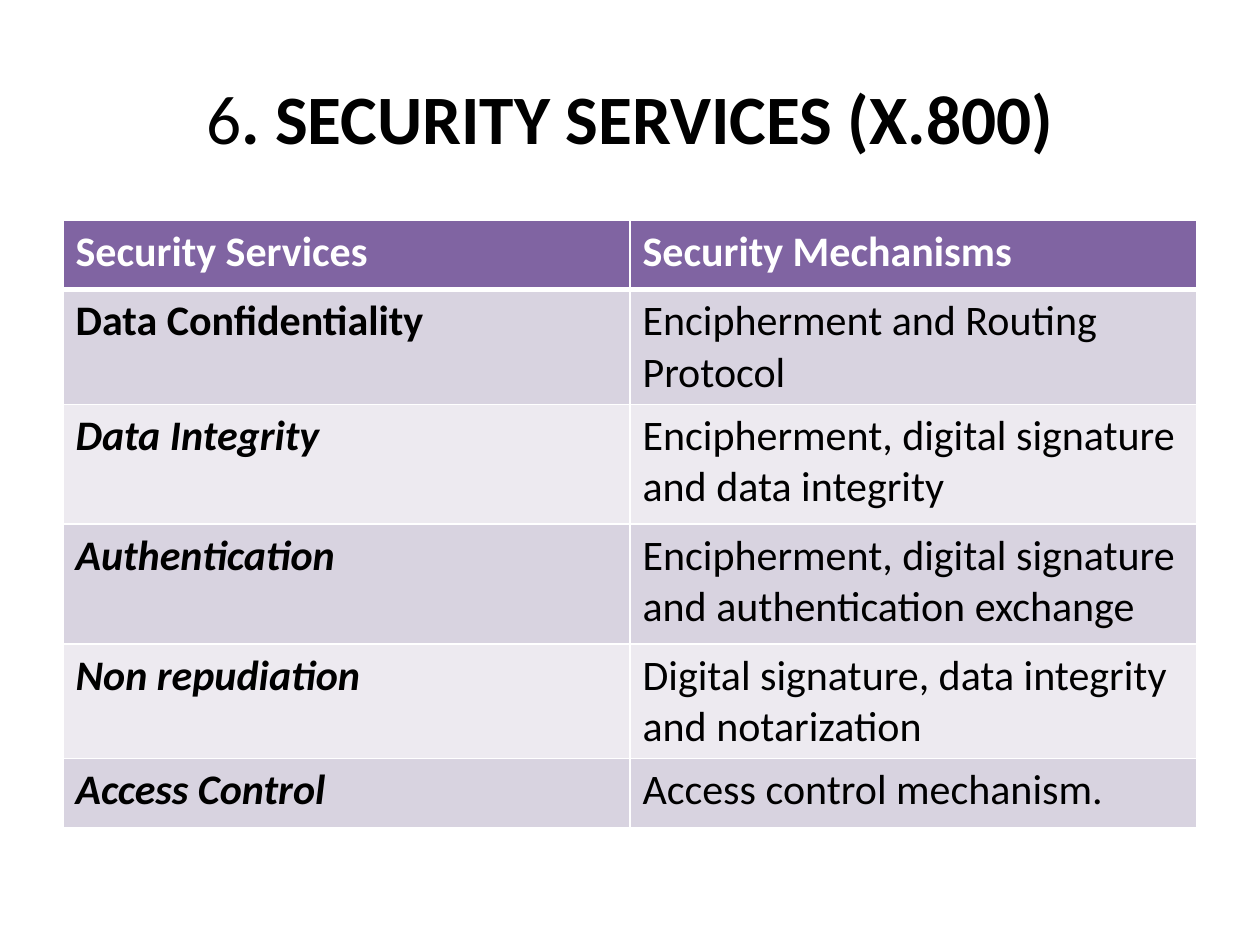
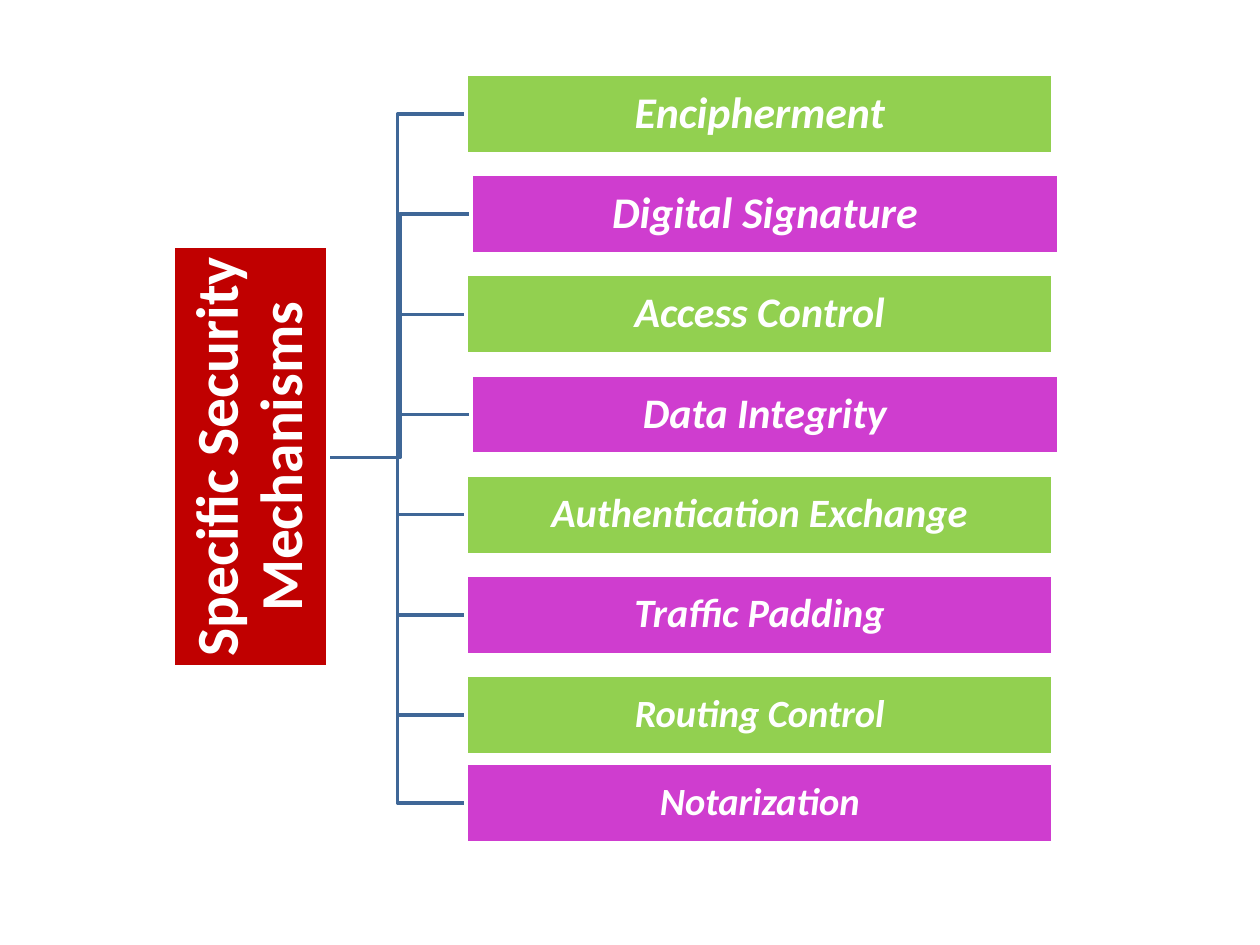
from dataclasses import dataclass

from lxml import etree
from pptx import Presentation
from pptx.dml.color import RGBColor
from pptx.enum.shapes import MSO_SHAPE as Preset
from pptx.enum.text import MSO_ANCHOR as Anchor, PP_ALIGN as Align
from pptx.oxml.ns import qn
from pptx.util import Inches, Pt


@dataclass(frozen=True)
class Theme:
    font: str = "Calibri"
    ink: str = "000000"
    paper: str = "FFFFFF"
    header: str = "8064A2"
    bands: tuple = ("D8D3E0", "EDEAF0")
    hub: str = "C00000"
    bars: tuple = ("92D050", "CF3DCF")
    branch: str = "3F6797"
    title_size: float = 39.6
    table_size: float = 24
    hub_size: float = 34
    outline: float = 2


SERVICES = [
    ("Data Confidentiality", "Encipherment and Routing Protocol", 0.91),
    ("Data Integrity", "Encipherment, digital signature and data integrity", 0.95),
    ("Authentication", "Encipherment, digital signature and authentication exchange", 0.95),
    ("Non repudiation", "Digital signature, data integrity and notarization", 0.91),
    ("Access Control", "Access control mechanism.", 0.55),
]

# Label, type size, indent from the common left edge
MECHANISMS = [
    ("Encipherment", 25, 0),
    ("Digital Signature", 25, 0.04),
    ("Access Control", 24, 0),
    ("Data Integrity", 24, 0.04),
    ("Authentication Exchange", 23, 0),
    ("Traffic Padding", 23, 0),
    ("Routing Control", 22, 0),
    ("Notarization", 22, 0),
]


class SlideBuilder:
    def __init__(self, theme):
        self.theme = theme
        self.deck = Presentation()
        self.deck.slide_width, self.deck.slide_height = Inches(10), Inches(7.5)
        self.page = None

    def new_page(self):
        self.page = self.deck.slides.add_slide(self.deck.slide_layouts[6])

    def style(self, font, size, color, bold=False, italic=False):
        font.name, font.size = self.theme.font, Pt(size)
        font.bold, font.italic = bold, italic
        font.color.rgb = RGBColor.from_string(color)

    def title(self, number, text):
        box = self.page.shapes.add_textbox(Inches(0.5), Inches(0.3), Inches(9), Inches(1.25))
        frame = box.text_frame
        frame.word_wrap, frame.vertical_anchor = True, Anchor.MIDDLE
        para = frame.paragraphs[0]
        para.alignment = Align.CENTER
        for part, bold in ((number, False), (text, True)):
            span = para.add_run()
            span.text = part
            self.style(span.font, self.theme.title_size, self.theme.ink, bold)

    def border(self, cell, side, width):
        line = etree.SubElement(cell._tc.get_or_add_tcPr(), qn(f"a:ln{side}"), w=str(Pt(width)))
        fill = etree.SubElement(line, qn("a:solidFill"))
        etree.SubElement(fill, qn("a:srgbClr"), val=self.theme.paper)

    def cell(self, cell, text, fill, color, bold, italic=False, bottom=1):
        for side, width in (("L", 1), ("R", 1), ("T", 1), ("B", bottom)):
            self.border(cell, side, width)
        cell.fill.solid()
        cell.fill.fore_color.rgb = RGBColor.from_string(fill)
        cell.text = text
        self.style(cell.text_frame.paragraphs[0].font, self.theme.table_size, color, bold, italic)

    def table(self, headings, rows):
        theme = self.theme
        header_height = 0.55
        height = header_height + sum(row[2] for row in rows)
        table = self.page.shapes.add_table(
            len(rows) + 1, len(headings), Inches(0.5), Inches(1.75), Inches(9), Inches(height)
        ).table
        table.rows[0].height = Inches(header_height)
        for column, heading in enumerate(headings):
            self.cell(table.cell(0, column), heading, theme.header, theme.paper, True, bottom=3)
        for index, (service, mechanism, row_height) in enumerate(rows):
            row = table.rows[index + 1]
            row.height = Inches(row_height)
            band = theme.bands[index % 2]
            self.cell(row.cells[0], service, band, theme.ink, True, italic=index > 0)
            # The top edge of the first row meets the thick header rule
            self.cell(row.cells[1], mechanism, band, theme.ink, False)
            if index == 0:
                for cell in row.cells:
                    cell._tc.tcPr.find(qn("a:lnT")).set("w", str(Pt(3)))

    def label_box(self, text, left, top, width, height, fill, size, italic=False, rotation=0):
        box = self.page.shapes.add_shape(
            Preset.RECTANGLE, Inches(left), Inches(top), Inches(width), Inches(height))
        box.rotation = rotation
        box.shadow.inherit = False
        box.fill.solid()
        box.fill.fore_color.rgb = RGBColor.from_string(fill)
        box.line.color.rgb = RGBColor.from_string(self.theme.paper)
        box.line.width = Pt(self.theme.outline)
        frame = box.text_frame
        frame.word_wrap, frame.vertical_anchor = True, Anchor.MIDDLE
        frame.margin_left = frame.margin_right = Inches(0.02)
        frame.margin_top = frame.margin_bottom = Inches(0.02)
        para = frame.paragraphs[0]
        para.text, para.alignment, para.line_spacing = text, Align.CENTER, 0.9
        self.style(para.font, size, self.theme.paper, True, italic)

    def branch(self, start, end):
        """Draw a right-angled line that turns halfway between two points."""
        (x1, y1), (x2, y2) = start, end
        middle = (x1 + x2) / 2
        outline = self.page.shapes.build_freeform(Inches(x1), Inches(y1))
        turns = [(middle, y1), (middle, y2), (x2, y2)]
        outline.add_line_segments([(Inches(x), Inches(y)) for x, y in turns], close=False)
        line = outline.convert_to_shape()
        line.shadow.inherit = False
        line.fill.background()
        line.line.color.rgb = RGBColor.from_string(self.theme.branch)
        line.line.width = Pt(self.theme.outline)


def services_page(builder):
    builder.new_page()
    builder.title("6", ". SECURITY SERVICES (X.800)")
    builder.table(("Security Services", "Security Mechanisms"), SERVICES)


def mechanisms_page(builder):
    builder.new_page()
    theme = builder.theme
    bar_left, bar_width, bar_height = 3.7, 4.66, 0.63
    first_top, pitch, last_top = 0.59, 0.795, 6.06
    tops = [first_top + pitch * index for index in range(len(MECHANISMS) - 1)] + [last_top]
    bars = list(zip(MECHANISMS, tops))
    for (_, _, indent), top in reversed(bars):
        builder.branch((2.61, 3.63), (bar_left + indent, top + bar_height / 2))
    builder.label_box("Specific Security Mechanisms", 0.32, 3.01, 3.34, 1.23,
                      theme.hub, theme.hub_size, rotation=270)
    for index, ((label, size, indent), top) in enumerate(bars):
        builder.label_box(label, bar_left + indent, top, bar_width, bar_height,
                          theme.bars[index % 2], size, italic=True)


def main():
    builder = SlideBuilder(Theme())
    services_page(builder)
    mechanisms_page(builder)
    builder.deck.save("out.pptx")


if __name__ == "__main__":
    main()
